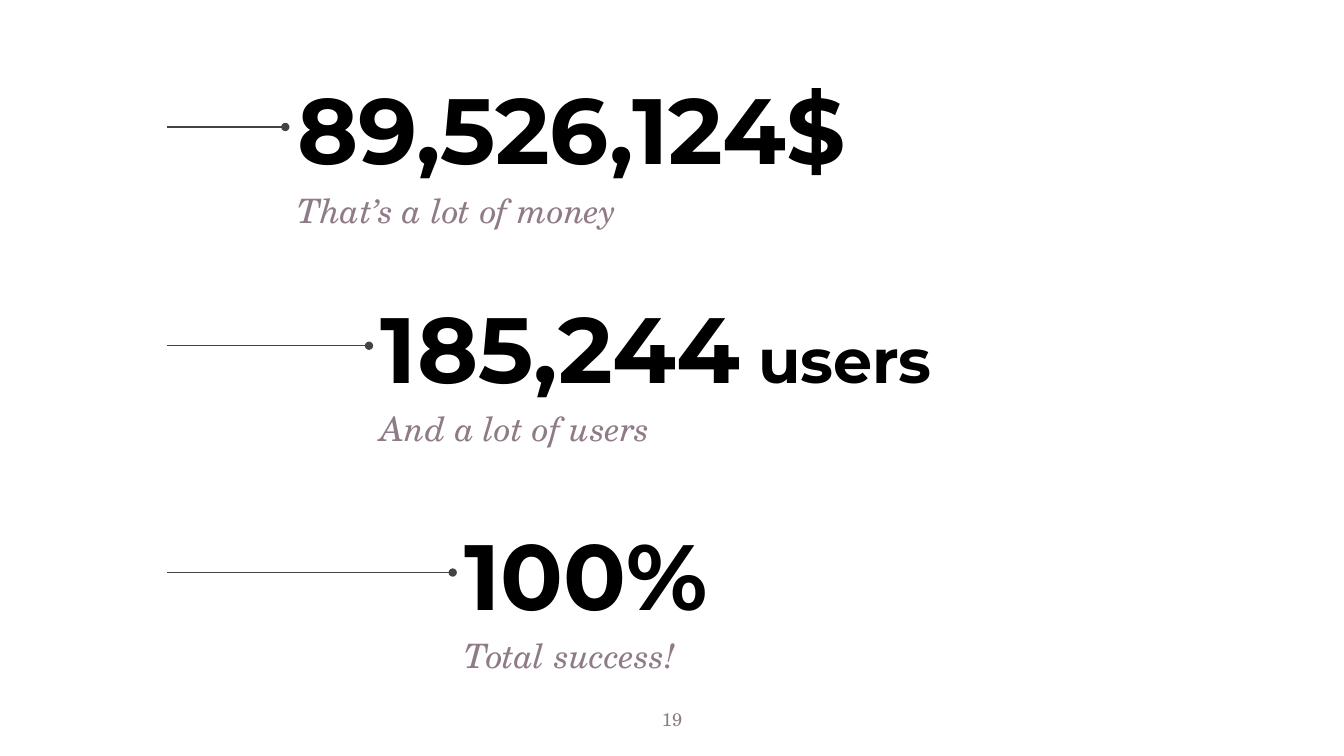
from pptx import Presentation, util as u
from pptx.dml.color import RGBColor
from pptx.enum import shapes, text
from pptx.oxml.ns import qn
from lxml import etree

HEADING_FONT, BODY_FONT = "Montserrat", "TeX Gyre Schola"
BLACK, MAUVE, GREY = "000000", "8F7B87", "434343"

# Top of each figure, its runs as (words, size), and its caption
FIGURES = [
    (0.61, [("89,526,124$", 66.2)], "That’s a lot of money"),
    (2.78, [("185,244", 66.2), (" users", 44.2)], "And a lot of users"),
    (5.03, [("100%", 66.2)], "Total success!"),
]
FIRST_LEFT, LEFT_STEP = 2.85, 0.83
LEADER_LEFT = 1.66


def color(hex_code):
    return RGBColor.from_string(hex_code)


def add_text(slide, runs, left, top, width, height, *, font, fill,
             bold=False, italic=False, anchor=text.MSO_ANCHOR.TOP,
             align=text.PP_ALIGN.LEFT, wrap=True, spacing=None, before=None):
    box = slide.shapes.add_textbox(*map(u.Inches, (left, top, width, height)))
    frame = box.text_frame
    frame.word_wrap = wrap
    frame.vertical_anchor = anchor
    frame.margin_left = frame.margin_right = u.Inches(0.1)
    frame.margin_top = frame.margin_bottom = u.Inches(0.1)
    paragraph = frame.paragraphs[0]
    paragraph.alignment = align
    if spacing is not None:
        paragraph.line_spacing = spacing
    if before is not None:
        paragraph.space_before = u.Pt(before)
    for words, size in runs:
        run = paragraph.add_run()
        run.text = words
        run.font.name = font
        run.font.size = u.Pt(size)
        run.font.bold = bold
        run.font.italic = italic
        run.font.color.rgb = color(fill)


def add_leader(slide, start, end, y):
    """Draw a thin line with a dot at its start."""
    leader = slide.shapes.add_connector(
        shapes.MSO_CONNECTOR.STRAIGHT,
        u.Inches(start), u.Inches(y), u.Inches(end), u.Inches(y))
    leader.line.color.rgb = color(GREY)
    leader.line.width = u.Pt(0.75)
    outline = leader.line._get_or_add_ln()
    etree.SubElement(outline, qn("a:headEnd"), type="oval")
    etree.SubElement(leader._element.spPr, qn("a:effectLst"))


def add_figure(slide, left, top, figure, caption):
    add_text(slide, figure, left, top, 6.57, 1.31, font=HEADING_FONT,
             fill=BLACK, bold=True, anchor=text.MSO_ANCHOR.MIDDLE)
    add_text(slide, [(caption, 24)], left, top + 1.11, 6.57, 0.68,
             font=BODY_FONT, fill=MAUVE, italic=True, spacing=1.15, before=6)
    add_leader(slide, left - 0.02, LEADER_LEFT, top + 0.65)


def main():
    deck = Presentation()
    deck.slide_width, deck.slide_height = u.Inches(13.33), u.Inches(7.5)
    slide = deck.slides.add_slide(deck.slide_layouts[6])

    # Three figures, each stepping to the right
    for index, (top, figure, caption) in enumerate(FIGURES):
        add_figure(slide, FIRST_LEFT + index * LEFT_STEP, top, figure, caption)

    # Page number
    add_text(slide, [("19", 13)], 6.46, 6.93, 0.41, 0.44, font=BODY_FONT,
             fill=MAUVE, align=text.PP_ALIGN.CENTER, wrap=False)

    deck.save("out.pptx")


if __name__ == "__main__":
    main()
